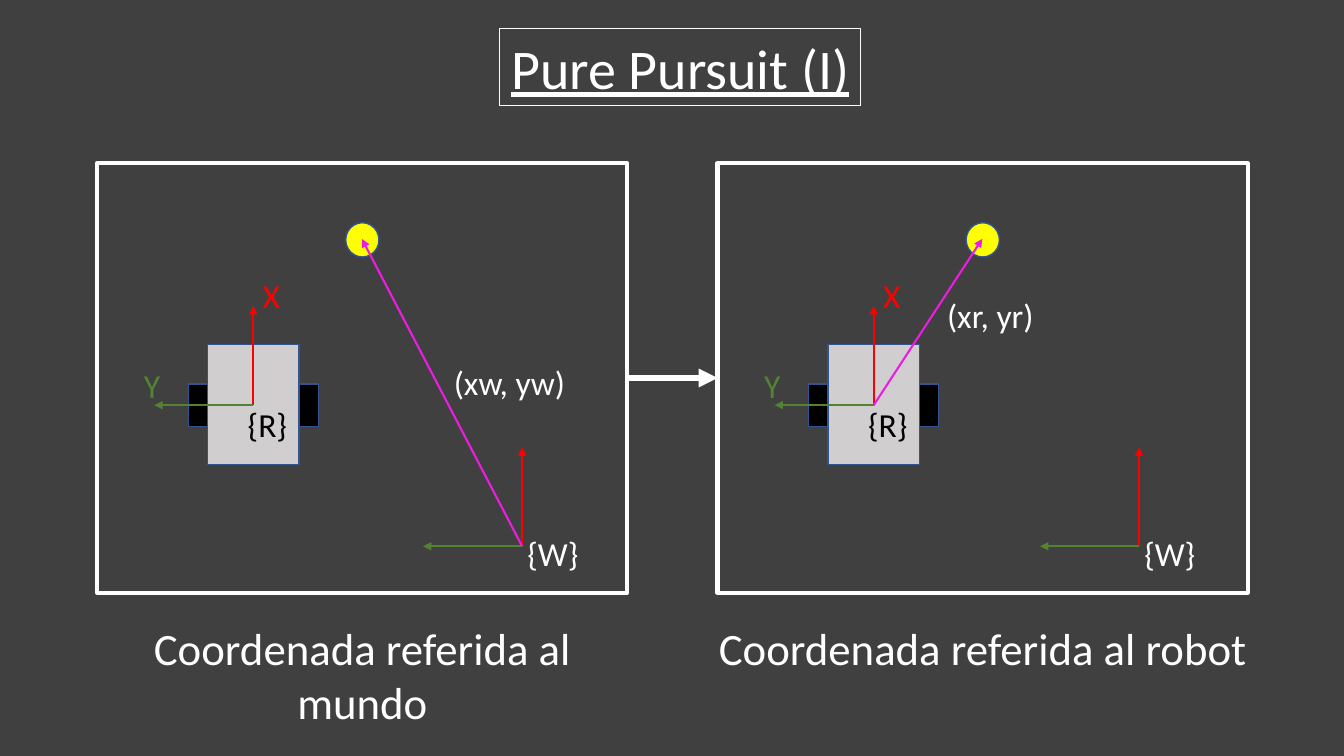
from dataclasses import dataclass

from lxml.etree import SubElement as Sub
from pptx import Presentation as Deck
from pptx.dml.color import RGBColor as Rgb
from pptx.enum.shapes import MSO_CONNECTOR as Conn, MSO_SHAPE as Form
from pptx.enum.text import MSO_ANCHOR as Anchor, MSO_AUTO_SIZE as Fit, PP_ALIGN as Align
from pptx.oxml.ns import qn
from pptx.util import Inches, Pt


@dataclass(frozen=True)
class Theme:
    font: str = "Calibri"
    back: str = "404040"
    white: str = "FFFFFF"
    black: str = "000000"
    red: str = "FF0000"
    green: str = "548235"
    pink: str = "EA1EE0"
    gold: str = "FFFF00"
    gray: str = "D0CECE"
    edge: str = "325491"
    title: int = 40
    body: int = 32
    label: int = 24


T = Theme()

# Grid: ten columns and ten rows to the inch
COLS, ROWS = 133.33, 75
PITCH = 61.55  # from left panel to right panel
AXIS = 9.83    # length of a frame axis


def cell(n):
    return Inches(n / 10)


def color(code):
    return Rgb.from_string(code)


def box(root, form, area, fill, line, width):
    item = root.add_shape(form, *map(cell, area))
    item.shadow.inherit = False
    if fill:
        item.fill.solid()
        item.fill.fore_color.rgb = color(fill)
    else:
        item.fill.background()
    item.line.color.rgb = color(line)
    item.line.width = Pt(width)
    return item


def write(item, words, size, ink, under=None):
    frame = item.text_frame
    frame.word_wrap = True
    frame.auto_size = Fit.SHAPE_TO_FIT_TEXT
    frame.vertical_anchor = Anchor.TOP
    para = frame.paragraphs[0]
    para.alignment = Align.CENTER
    run = para.add_run()
    run.text = words
    font = run.font
    font.name, font.size, font.underline = T.font, Pt(size), under
    font.color.rgb = color(ink)


def note(root, words, area, ink=T.white, size=T.label):
    write(root.add_textbox(*map(cell, area)), words, size, ink)


def arrow(root, start, end, ink, width=1.5):
    item = root.add_connector(Conn.STRAIGHT, *map(cell, (*start, *end)))
    item.line.color.rgb = color(ink)
    item.line.width = Pt(width)
    Sub(item.line._get_or_add_ln(), qn("a:tailEnd"), type="triangle")
    Sub(item._element.spPr, qn("a:effectLst"))


def axes(root, x, y):
    arrow(root, (x, y), (x, y - AXIS), T.red)
    arrow(root, (x, y), (x - AXIS, y), T.green)


def world(root, x, y):
    part = root.add_group_shape().shapes
    axes(part, x, y)
    note(part, "{W}", (x - 1.45, y - 1.8, 9, 5))


def robot(root, x, y):
    part = root.add_group_shape().shapes
    # Body and wheels
    box(part, Form.RECTANGLE, (x - 4.55, y - 6, 9.1, 11.9), T.gray, T.edge, 1)
    for left in (4.55, -6.45):
        box(part, Form.RECTANGLE, (x + left, y - 2.1, 1.9, 4.2), T.black, T.edge, 1)
    # Frame and its names
    axes(part, x, y)
    for words, dx, dy, ink in (("{R}", -3.1, -0.6, T.black),
                               ("X", -2.7, -13.4, T.red),
                               ("Y", -14.55, -4.5, T.green)):
        note(part, words, (x + dx, y + dy, 9, 5), ink)


def main():
    deck = Deck()
    deck.slide_width, deck.slide_height = cell(COLS), cell(ROWS)
    slide = deck.slides.add_slide(deck.slide_layouts[6])
    slide.background.fill.solid()
    slide.background.fill.fore_color.rgb = color(T.back)
    root = slide.shapes

    # Title
    head = box(root, Form.RECTANGLE, (49.6, 2.8, 35.8, 7.7), None, T.white, 0.75)
    write(head, "Pure Pursuit (I)", T.title, T.white, True)

    # Panels: caption, world frame, robot, goal
    bot, base, goal = (25.13, 40.2), (51.8, 54.2), (35.9, 23.7)
    for side, name in enumerate(("mundo", "robot")):
        dx = side * PITCH
        box(root, Form.RECTANGLE, (9.63 + dx, 16.2, 52.6, 42.6), None, T.white, 3)
        note(root, f"Coordenada referida al {name}", (7.5 + dx, 61.1, 56.9, 6.4),
             size=T.body)
        world(root, base[0] + side * 61.2, base[1])
        box(root, Form.FLOWCHART_CONNECTOR, (34.3 + dx, 22.1, 3.3, 3.4),
            T.gold, T.edge, 1)
        robot(root, bot[0] + dx, bot[1])

    # Step from one panel to the next
    arrow(root, (62.3, 37.5), (71.2, 37.5), T.white, 4.5)

    # Goal seen from the world and from the robot
    arrow(root, base, goal, T.pink)
    arrow(root, (bot[0] + PITCH, bot[1]), (goal[0] + PITCH, goal[1]), T.pink)
    note(root, "(xw, yw)", (44, 35.4, 13.1, 5))
    note(root, "(xr, yr)", (91.7, 28.8, 13.1, 5))

    deck.save("out.pptx")


if __name__ == "__main__":
    main()
